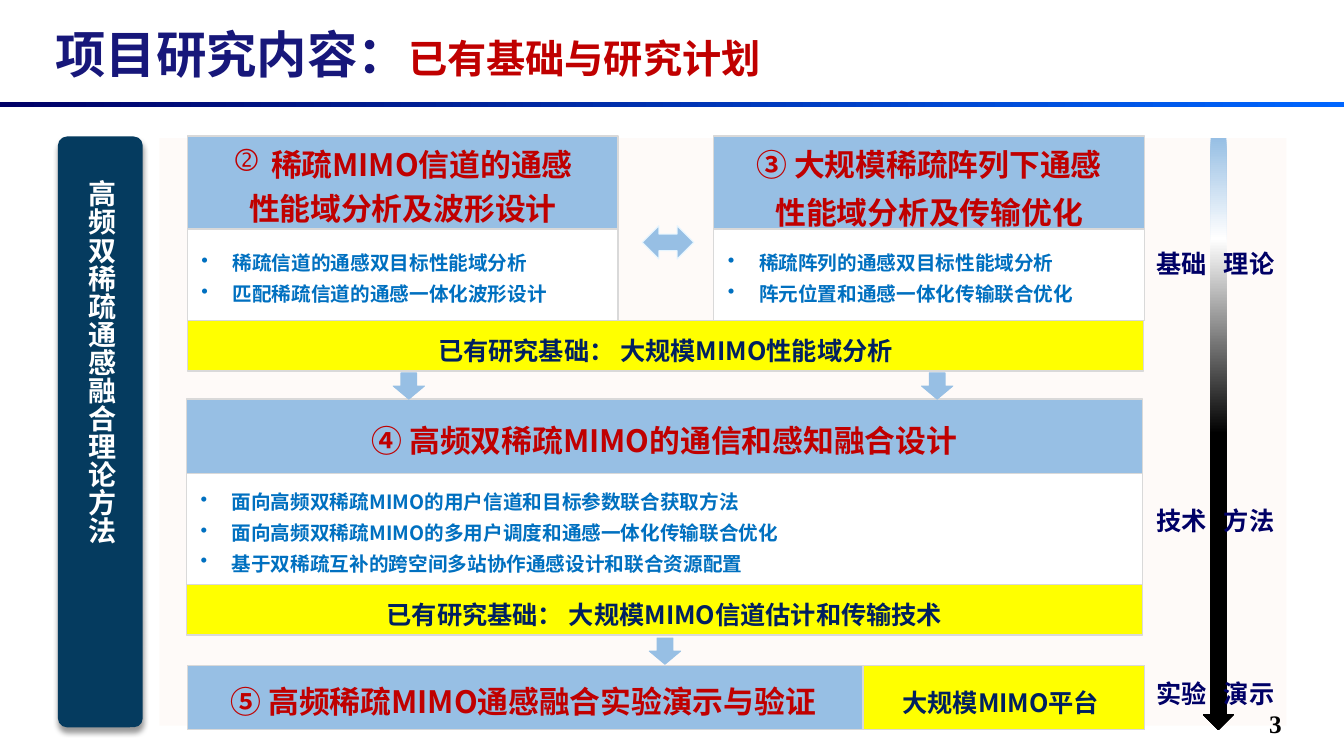
from lxml.etree import SubElement
from pptx import Presentation
from pptx.dml.color import RGBColor
from pptx.enum.shapes import MSO_SHAPE as SHAPE
from pptx.enum.text import MSO_ANCHOR as ANCHOR, PP_ALIGN as ALIGN
from pptx.oxml.ns import qn
from pptx.util import Inches, Pt

CJK = "Noto Sans CJK SC"
BLUE, YELLOW, WHITE = "97BFE4", "FFFF00", "FFFFFF"
RED, NAVY, GREY, DEEP = "C00000", "002060", "D9D9D9", "053B5F"
HEADING = {"size": 22, "color": RED}
ITEM = {"size": 14, "color": "0070C0"}
BASIS = {"size": 18, "color": NAVY}


def rgb(value):
    return RGBColor.from_string(value)


class Board:
    def __init__(self, slide):
        self.slide = slide

    def gradient(self, sp, stops, angle):
        sp.fill.gradient()
        sp.fill.gradient_angle = angle
        stop_list = next(sp._element.spPr.iter(qn("a:gsLst")))
        for old in list(stop_list):
            stop_list.remove(old)
        for pos, color in stops:
            gs = SubElement(stop_list, qn("a:gs"), pos=str(pos * 1000))
            SubElement(gs, qn("a:srgbClr"), val=color)

    def shape(self, box, fill, kind=SHAPE.RECTANGLE, line=None, width=1, angle=0):
        sp = self.slide.shapes.add_shape(kind, *map(Inches, box))
        sp.shadow.inherit = False
        if isinstance(fill, str):
            sp.fill.solid()
            sp.fill.fore_color.rgb = rgb(fill)
        else:
            self.gradient(sp, fill, angle)
        if line:
            sp.line.color.rgb = rgb(line)
            sp.line.width = Pt(width)
        else:
            sp.line.fill.background()
        return sp

    def opacity(self, sp, percent):
        color = next(sp._element.spPr.iter(qn("a:srgbClr")))
        SubElement(color, qn("a:alpha"), val=str(percent * 1000))

    def shadow(self, sp):
        effects = sp._element.spPr.find(qn("a:effectLst"))
        shadow = SubElement(effects, qn("a:outerShdw"), blurRad=str(Pt(4)),
                            dist=str(Pt(3)), dir="5400000", rotWithShape="0")
        color = SubElement(shadow, qn("a:srgbClr"), val="000000")
        SubElement(color, qn("a:alpha"), val="40000")

    def run(self, p, text, size, color, font=CJK):
        r = p.add_run()
        r.text = text
        for key, value in {"size": Pt(size), "bold": True, "name": font}.items():
            setattr(r.font, key, value)
        r.font.color.rgb = rgb(color)
        SubElement(r._r.get_or_add_rPr(), qn("a:ea"), typeface=CJK)

    def bullet(self, p, char, margin, indent):
        pPr = p._p.get_or_add_pPr()
        pPr.set("marL", str(Inches(margin)))
        pPr.set("indent", str(Inches(indent)))
        if char:
            SubElement(pPr, qn("a:buChar"), char=char)

    def fill_text(self, sp, lines, fmt, align=ALIGN.CENTER, spacing=1.3, anchor=ANCHOR.MIDDLE):
        tf = sp.text_frame
        for key, value in {"word_wrap": True, "vertical_anchor": anchor}.items():
            setattr(tf, key, value)
        for i, line in enumerate(lines):
            p = tf.add_paragraph() if i else tf.paragraphs[0]
            for key, value in {"alignment": align, "line_spacing": spacing}.items():
                setattr(p, key, value)
            self.run(p, line, **fmt)
        return tf

    def text(self, box, line, fmt, **layout):
        sp = self.slide.shapes.add_textbox(*map(Inches, box))
        return self.fill_text(sp, [line], fmt, **layout)

    def panel(self, box, fill, lines, fmt, **layout):
        return self.fill_text(self.shape(box, fill, line=GREY), lines, fmt, **layout)

    def bullets(self, box, lines):
        tf = self.panel(box, WHITE, lines, ITEM, align=ALIGN.LEFT)
        for p in tf.paragraphs:
            self.bullet(p, "•", 0.35, -0.31)


def main():
    prs = Presentation()
    prs.slide_width, prs.slide_height = Inches(13.33), Inches(7.5)
    s = Board(prs.slides.add_slide(prs.slide_layouts[6]))

    s.shape((-0.01, 1.01, 13.35, 0.05), [(0, "000066"), (100, "0066FF")])
    s.opacity(s.shape((1.58, 1.37, 11.18, 5.83), "FBE5D6"), 17)
    title = s.text((0.45, 0.24, 9.56, 0.58), "项目研究内容：",
                   {"size": 36, "color": "17177A", "font": "Montserrat"},
                   align=ALIGN.LEFT, spacing=1.0)
    s.run(title.paragraphs[0], "已有基础与研究计划", 28, RED, "Montserrat")
    s.text((12.49, 6.98, 0.73, 0.39), "3",
           {"size": 18, "color": "000000", "font": "Times New Roman"},
           align=ALIGN.LEFT, spacing=1.0, anchor=ANCHOR.TOP)

    pillar = s.shape((0.59, 1.37, 0.81, 5.83), DEEP, SHAPE.ROUNDED_RECTANGLE, DEEP, 2.25)
    pillar.adjustments[0] = 0.092
    s.shadow(pillar)
    theme = s.text((0.74, 1.69, 0.62, 5.19), "高频双稀疏通感融合理论方法",
                   {"size": 20, "color": WHITE}, align=ALIGN.JUSTIFY, spacing=1.25)
    theme._txBody.bodyPr.set("vert", "eaVert")

    topics = [
        (1.86, 1.2, ["稀疏MIMO信道的通感", "性能域分析及波形设计"],
         ["稀疏信道的通感双目标性能域分析", "匹配稀疏信道的通感一体化波形设计"]),
        (7.08, 1.3, ["③ 大规模稀疏阵列下通感", "性能域分析及传输优化"],
         ["稀疏阵列的通感双目标性能域分析", "阵元位置和通感一体化传输联合优化"]),
    ]
    headings = []
    for left, spacing, heading, points in topics:
        s.bullets((left, 2.27, 4.27, 0.91), points)
        headings.append(s.panel((left, 1.35, 4.27, 0.92), BLUE, heading, HEADING,
                                spacing=spacing))
    s.bullet(headings[0].paragraphs[0], "②", 0.38, -0.38)

    demo = s.panel((1.86, 6.6, 9.48, 0.64), BLUE,
                   ["⑤ 高频稀疏MIMO通感融合实验演示与验证"], HEADING,
                   align=ALIGN.LEFT, spacing=1.2)
    s.bullet(demo.paragraphs[0], None, 0.33, 0)
    s.panel((1.86, 3.18, 9.48, 0.5), YELLOW, ["已有研究基础： 大规模MIMO性能域分析"], BASIS)
    platform = s.panel((8.56, 6.6, 2.79, 0.64), YELLOW, ["大规模MIMO平台"], BASIS)
    platform.margin_left = Inches(0.04)

    s.shape((6.37, 2.24, 0.51, 0.33), BLUE, SHAPE.LEFT_RIGHT_ARROW, "E6F5FF", 0.75)

    s.panel((1.85, 3.96, 9.48, 0.74), BLUE, ["④ 高频双稀疏MIMO的通信和感知融合设计"],
            HEADING, spacing=1.2)
    s.bullets((1.85, 4.7, 9.48, 1.1), [
        "面向高频双稀疏MIMO的用户信道和目标参数联合获取方法",
        "面向高频双稀疏MIMO的多用户调度和通感一体化传输联合优化",
        "基于双稀疏互补的跨空间多站协作通感设计和联合资源配置",
    ])
    s.panel((1.85, 5.8, 9.48, 0.5), YELLOW,
            ["已有研究基础： 大规模MIMO信道估计和传输技术"], BASIS)

    for left, top in [(3.9, 3.7), (9.14, 3.7), (6.44, 6.33)]:
        s.shape((left, top, 0.31, 0.26), BLUE, SHAPE.DOWN_ARROW, BLUE, 0.75)

    s.shape((11.93, 1.37, 0.31, 5.87),
            [(0, BLUE), (17, WHITE), (50, "000000"), (100, "000000")],
            SHAPE.DOWN_ARROW, angle=270)
    stages = [(2.41, "基础", "理论"), (4.96, "技术", "方法"), (6.68, "实验", "演示")]
    for top, *words in stages:
        for left, word in zip((11.37, 12.04), words):
            s.text((left, top, 0.8, 0.4), word, {"size": 18, "color": "000066"},
                   align=ALIGN.LEFT, spacing=1.0)

    prs.save("out.pptx")


if __name__ == "__main__":
    main()
